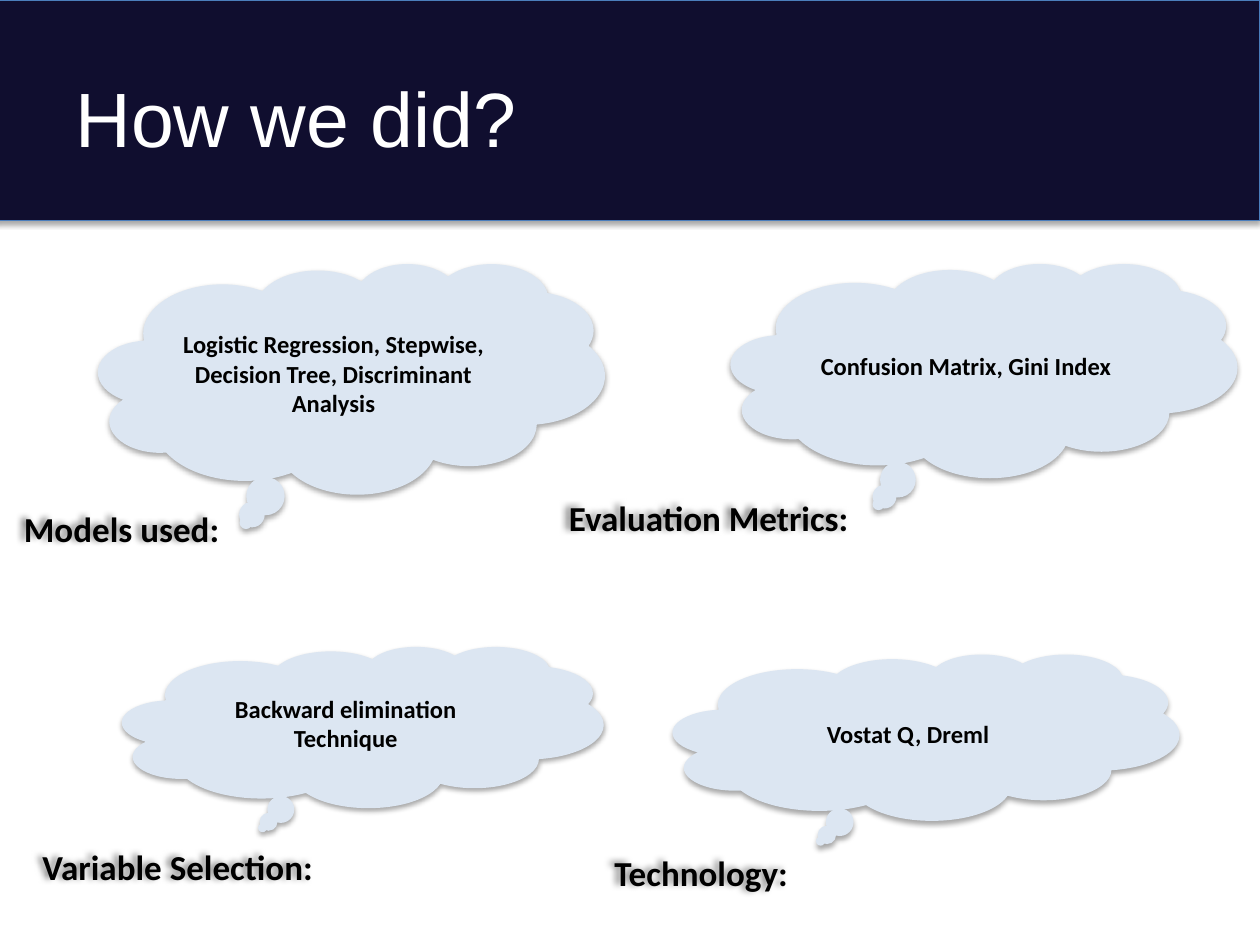
from lxml import etree
from pptx import Presentation
from pptx.dml.color import RGBColor
from pptx.enum import shapes, text
from pptx.oxml import ns
from pptx.util import Inches, Pt

NAVY = RGBColor(0x10, 0x0E, 0x2F)
EDGE = RGBColor(0x4B, 0x7E, 0xBC)
PALE = RGBColor(0xDC, 0xE6, 0xF2)
BLACK = RGBColor(0, 0, 0)
WHITE = RGBColor(0xFF, 0xFF, 0xFF)

THOUGHTS = [
    ("Models used:",
     "Logistic Regression, Stepwise, Decision Tree, Discriminant Analysis",
     (0.78, 2.09, 4.02, 1.83), (-1.14, 1.7, 2.65, 0.81)),
    ("Evaluation Metrics:", "Confusion Matrix, Gini Index",
     (5.8, 2.09, 4.02, 1.7), (-1.9, 1.61, 3.45, 0.81)),
    ("Variable Selection:", "Backward elimination Technique",
     (0.97, 5.13, 3.82, 1.28), (-1.28, 1.33, 3.44, 0.84)),
    ("Technology:", "Vostat Q, Dreml",
     (5.34, 5.19, 4.02, 1.32), (-1.1, 1.33, 2.65, 0.81)),
]


def add_shadow(shape, blur, distance, angle, opacity):
    shape.shadow.inherit = False
    effects = shape._element.spPr.find(ns.qn("a:effectLst"))
    outer = etree.SubElement(
        effects, ns.qn("a:outerShdw"), blurRad=str(Pt(blur)),
        dist=str(Pt(distance)), dir=str(angle * 60000), rotWithShape="0")
    color = etree.SubElement(outer, ns.qn("a:srgbClr"), val=str(BLACK))
    etree.SubElement(color, ns.qn("a:alpha"), val=str(opacity * 1000))


def write(shape, words, size, font, color, align, bold=None):
    frame = shape.text_frame
    frame.word_wrap = True
    frame.vertical_anchor = text.MSO_ANCHOR.MIDDLE
    para = frame.paragraphs[0]
    para.alignment = align
    span = para.add_run()
    span.text = words
    span.font.size = Pt(size)
    span.font.name = font
    span.font.bold = bold
    span.font.color.rgb = color


def add_header(page, box):
    left, top, width, height = box
    band = page.shapes.add_shape(
        shapes.MSO_SHAPE.RECTANGLE, *map(Inches, box))
    band.fill.solid()
    band.fill.fore_color.rgb = NAVY
    band.line.color.rgb = EDGE
    band.line.width = Pt(0.75)
    add_shadow(band, 3.1, 1.8, 90, 35)
    title = page.shapes.title
    title._element.addprevious(band._element)
    title.left, title.top = Inches(left + 0.54), Inches(top + 0.3)
    title.width, title.height = Inches(width - 1.04), Inches(height - 0.5)
    write(title, "How we did?", 44, "Arial", WHITE, text.PP_ALIGN.LEFT)


def add_thought(page, label, idea, box, label_box):
    cloud = page.shapes.add_shape(
        shapes.MSO_SHAPE.CLOUD_CALLOUT, *map(Inches, box))
    cloud.fill.solid()
    cloud.fill.fore_color.rgb = PALE
    cloud.line.fill.background()
    add_shadow(cloud, 3.1, 1.8, 90, 35)
    write(cloud, idea, 14, "Calibri", BLACK, text.PP_ALIGN.CENTER, True)

    shift_x, shift_y, width, height = label_box
    caption = page.shapes.add_shape(
        shapes.MSO_SHAPE.OVAL, Inches(box[0] + shift_x),
        Inches(box[1] + shift_y), Inches(width), Inches(height))
    caption.fill.background()
    caption.line.fill.background()
    add_shadow(caption, 4, 3, 205, 50)
    write(caption, label, 20, "Calibri", BLACK, text.PP_ALIGN.CENTER, True)


deck = Presentation()
deck.slide_width, deck.slide_height = Inches(10), Inches(7.5)
page = deck.slides.add_slide(deck.slide_layouts.get_by_name("Title Only"))
add_header(page, (-0.04, 0, 10.04, 1.75))
for thought in THOUGHTS:
    add_thought(page, *thought)
deck.save("out.pptx")
